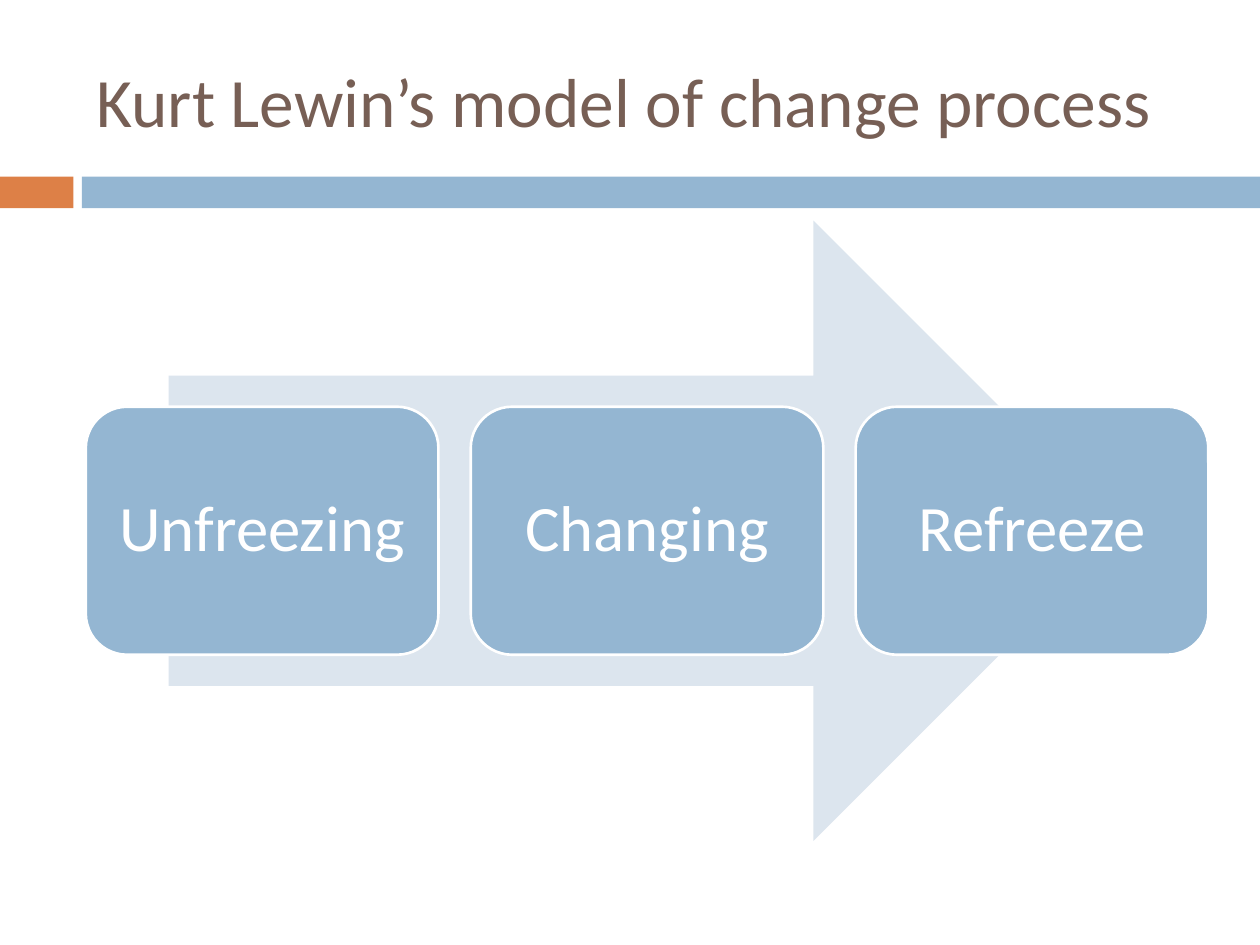
"""Build a slide showing the three stages of Lewin's change model."""
from pptx import Presentation
from pptx.dml.color import RGBColor
from pptx.enum.shapes import MSO_SHAPE
from pptx.enum.text import MSO_ANCHOR, PP_ALIGN
from pptx.util import Cm, Pt

TITLE = "Kurt Lewin’s model of change process"
STAGES = ["Unfreezing", "Changing", "Refreeze"]
COLOURS = {
    "title": "775F55",
    "accent": "DD8047",
    "blue": "94B6D2",
    "arrow": "DCE5EE",
    "white": "FFFFFF",
}
BACKDROP = [
    (MSO_SHAPE.RECTANGLE, (0, 3.56, 1.48, 0.64), "accent"),
    (MSO_SHAPE.RECTANGLE, (1.65, 3.56, 23.75, 0.64), "blue"),
    (MSO_SHAPE.RIGHT_ARROW, (3.4, 4.45, 19.25, 12.5), "arrow"),
]
STAGE_LEFT, STAGE_TOP, STAGE_WIDTH, STAGE_HEIGHT = 1.73, 8.2, 7.11, 5
STAGE_STEP = 7.76
STAGE_INSET = Cm(0.38)


def colour(name):
    return RGBColor.from_string(COLOURS[name])


def add_filled(page, kind, place, fill):
    shape = page.shapes.add_shape(kind, *map(Cm, place))
    shape.shadow.inherit = False
    shape.fill.solid()
    shape.fill.fore_color.rgb = colour(fill)
    shape.line.fill.background()
    return shape


def write(box, text, size, ink, alignment):
    frame = box.text_frame
    frame.text = text
    frame.vertical_anchor = MSO_ANCHOR.MIDDLE
    paragraph = frame.paragraphs[0]
    paragraph.alignment = alignment
    font = paragraph.runs[0].font
    font.name = "Calibri"
    font.size = Pt(size)
    font.color.rgb = colour(ink)
    return frame


def add_stage(page, index, name):
    place = (STAGE_LEFT + index * STAGE_STEP, STAGE_TOP, STAGE_WIDTH, STAGE_HEIGHT)
    box = add_filled(page, MSO_SHAPE.ROUNDED_RECTANGLE, place, "blue")
    box.line.color.rgb = colour("white")
    box.line.width = Pt(1.5)
    frame = write(box, name, 37, "white", PP_ALIGN.CENTER)
    frame.word_wrap = False
    frame.margin_left = frame.margin_right = STAGE_INSET
    frame.margin_top = frame.margin_bottom = STAGE_INSET
    frame.paragraphs[0].line_spacing = 0.9


def main():
    deck = Presentation()
    deck.slide_width, deck.slide_height = Cm(25.4), Cm(19.05)
    page = deck.slides.add_slide(deck.slide_layouts[6])
    for kind, place, fill in BACKDROP:
        add_filled(page, kind, place, fill)
    title = page.shapes.add_textbox(Cm(1.7), Cm(0.64), Cm(22.66), Cm(2.74))
    write(title, TITLE, 39.6, "title", PP_ALIGN.LEFT).word_wrap = True
    for index, name in enumerate(STAGES):
        add_stage(page, index, name)
    deck.save("out.pptx")


if __name__ == "__main__":
    main()
